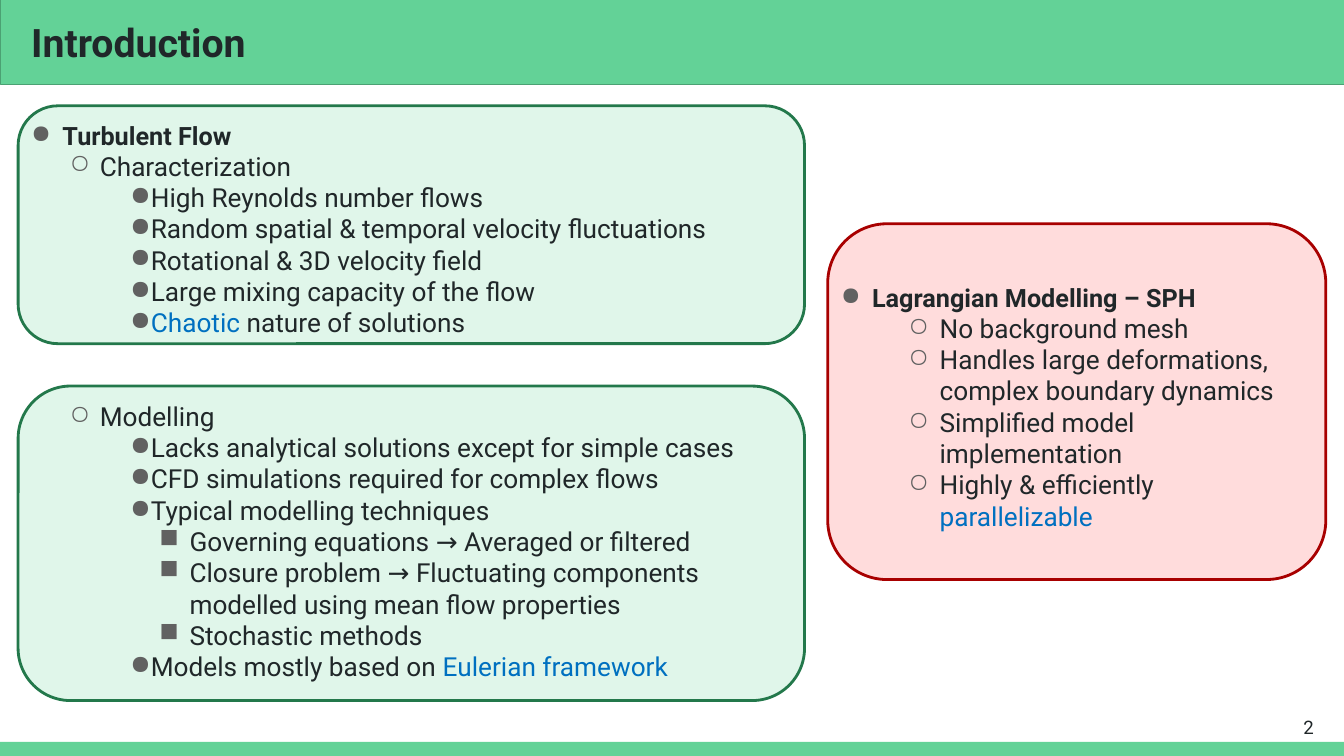
from lxml import etree
from pptx import Presentation
from pptx.dml.color import RGBColor
from pptx.enum import shapes, text
from pptx.oxml.ns import qn
from pptx.util import Inches, Pt

GREEN = RGBColor(0x63, 0xD2, 0x97)
EDGE = RGBColor(0x4B, 0xA1, 0x73)
MINT = RGBColor(0xE0, 0xF6, 0xEA)
FOREST = RGBColor(0x23, 0x78, 0x4B)
PINK = RGBColor(0xFF, 0xDC, 0xDC)
RED = RGBColor(0xA8, 0x00, 0x00)
INK = RGBColor(0x20, 0x27, 0x29)
BLUE = RGBColor(0x00, 0x70, 0xC0)
GREY = RGBColor(0x61, 0x61, 0x61)

FONT = "Roboto"
PITCH = 22.35

# Outline styles: bullet, left margin, hanging indent
HEAD = ("●", 0.31, 0.31)
TOPIC = ("○", 0.68, 0.3)
POINT = ("●", 1.17, 0.19)
DETAIL = ("■", 1.57, 0.3)
MERIT = ("○", 0.98, 0.31)

FLOW = [
    (HEAD, "Turbulent Flow"),
    (TOPIC, "Characterization"),
    (POINT, "High Reynolds number flows"),
    (POINT, "Random spatial & temporal velocity fluctuations"),
    (POINT, "Rotational & 3D velocity field"),
    (POINT, "Large mixing capacity of the flow"),
    (POINT, "*Chaotic* nature of solutions"),
    (TOPIC, "Modelling"),
    (POINT, "Lacks analytical solutions except for simple cases"),
    (POINT, "CFD simulations required for complex flows"),
    (POINT, "Typical modelling techniques"),
    (DETAIL, "Governing equations → Averaged or filtered"),
    (DETAIL, "Closure problem → Fluctuating components "
             "modelled using mean flow properties"),
    (DETAIL, "Stochastic methods"),
    (POINT, "Models mostly based on *Eulerian framework*"),
]
SPH = [
    (HEAD, "Lagrangian Modelling – SPH"),
    (MERIT, "No background mesh"),
    (MERIT, "Handles large deformations, complex boundary dynamics"),
    (MERIT, "Simplified model implementation"),
    (MERIT, "Highly & efficiently *parallelizable*"),
]


def add_panel(slide, kind, box, fill, line=None, width=2):
    panel = slide.shapes.add_shape(kind, *map(Inches, box))
    panel.shadow.inherit = False
    panel.fill.solid()
    panel.fill.fore_color.rgb = fill
    if line is None:
        panel.line.fill.background()
    else:
        panel.line.color.rgb = line
        panel.line.width = Pt(width)


def add_frame(slide, box, anchor):
    frame = slide.shapes.add_textbox(*map(Inches, box)).text_frame
    frame.word_wrap = True
    frame.vertical_anchor = anchor
    frame.margin_left = frame.margin_top = frame.margin_bottom = Inches(0.13)
    frame.margin_right = Inches(0.12)
    return frame


def style_run(run, size, bold=False, color=INK):
    run.font.name = FONT
    run.font.size = Pt(size)
    run.font.bold = bold
    run.font.color.rgb = color


def add_label(slide, box, words, size, bold=False, align=text.PP_ALIGN.LEFT):
    frame = add_frame(slide, box, text.MSO_ANCHOR.MIDDLE)
    frame.text = words
    para = frame.paragraphs[0]
    para.alignment = align
    style_run(para.runs[0], size, bold)


def set_bullet(para, mark, left, hang):
    props = para._p.get_or_add_pPr()
    props.set("marL", str(Inches(left)))
    props.set("indent", str(-Inches(hang)))
    tint = etree.SubElement(props, qn("a:buClr"))
    etree.SubElement(tint, qn("a:srgbClr")).set("val", str(GREY))
    etree.SubElement(props, qn("a:buChar")).set("char", mark)


def add_outline(slide, box, items, anchor):
    """Write a bulleted outline; words between asterisks turn blue."""
    frame = add_frame(slide, box, anchor)
    for num, (style, words) in enumerate(items):
        para = frame.add_paragraph() if num else frame.paragraphs[0]
        para.line_spacing = Pt(PITCH)
        # A later topic opens a new panel, two lines further down
        if style is TOPIC and num > 1:
            para.space_before = Pt(2 * PITCH)
        set_bullet(para, *style)
        head = style is HEAD
        for pos, part in enumerate(words.split("*")):
            if part:
                run = para.add_run()
                run.text = part
                style_run(run, 18 if head else 18.7, head,
                          BLUE if pos % 2 else INK)


def main():
    deck = Presentation()
    deck.slide_width, deck.slide_height = Inches(13.33), Inches(7.5)
    slide = deck.slides.add_slide(deck.slide_layouts[6])
    rect = shapes.MSO_SHAPE.RECTANGLE
    card = shapes.MSO_SHAPE.ROUNDED_RECTANGLE

    add_panel(slide, rect, (0, 7.36, 13.33, 0.14), GREEN)
    add_panel(slide, card, (8.21, 2.22, 4.94, 3.53), PINK, RED)
    for top, height in ((3.83, 3.12), (1.05, 2.36)):
        add_panel(slide, card, (0.18, top, 7.8, height), MINT, FOREST)
    add_outline(slide, (8.21, 1.05, 4.94, 5.96), SPH, text.MSO_ANCHOR.MIDDLE)
    add_outline(slide, (0.18, 1.05, 7.95, 5.96), FLOW, text.MSO_ANCHOR.TOP)
    add_panel(slide, rect, (0.01, 0, 13.33, 0.84), GREEN, EDGE, 0.75)
    add_label(slide, (0.18, 0, 12.98, 0.84), "Introduction", 28, True)
    add_label(slide, (12.35, 6.93, 0.8, 0.57), "2", 13.3,
              align=text.PP_ALIGN.RIGHT)
    deck.save("out.pptx")


if __name__ == "__main__":
    main()
